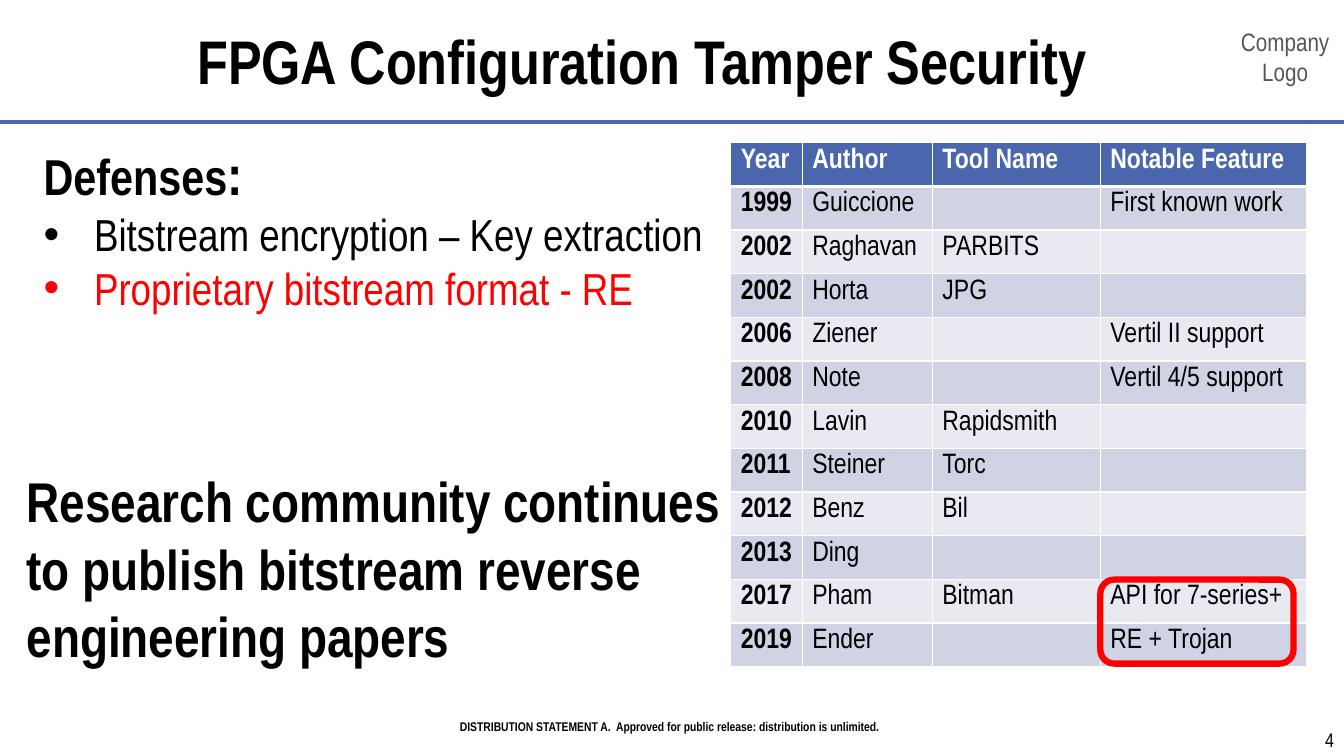
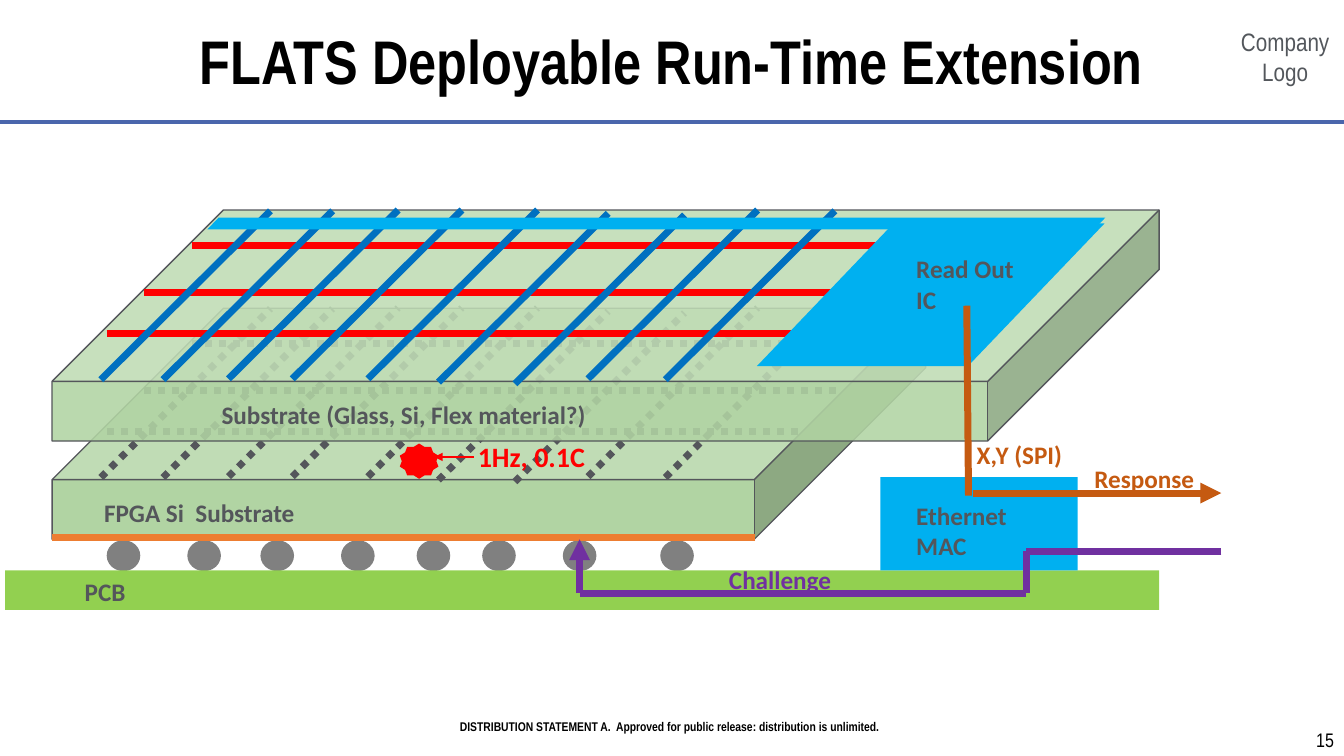
from lxml.etree import SubElement
from pptx import Presentation
from pptx.dml.color import RGBColor
from pptx.enum.dml import MSO_LINE
from pptx.enum.shapes import MSO_CONNECTOR, MSO_SHAPE
from pptx.enum.text import MSO_ANCHOR, MSO_AUTO_SIZE, PP_ALIGN
from pptx.oxml.ns import qn
from pptx.util import Pt

COLUMNS, ROWS, CELL = 160, 90, 76200

BLACK = RGBColor(0x00, 0x00, 0x00)
WHITE = RGBColor(0xFF, 0xFF, 0xFF)
RED = RGBColor(0xFF, 0x00, 0x00)
INDIGO = RGBColor(0x4A, 0x66, 0xAC)
BAND_DARK = RGBColor(0xD0, 0xD3, 0xE3)
BAND_LIGHT = RGBColor(0xE9, 0xEA, 0xF1)
LOGO_GRAY = RGBColor(0x53, 0x57, 0x5C)
SLATE = RGBColor(0x54, 0x56, 0x5B)
BALL_GRAY = RGBColor(0x80, 0x80, 0x80)
GLASS = RGBColor(0xB1, 0xD4, 0xA3)
BOARD_GREEN = RGBColor(0x92, 0xD0, 0x50)
SKY = RGBColor(0x00, 0xB0, 0xF0)
BLUE = RGBColor(0x00, 0x70, 0xC0)
ORANGE = RGBColor(0xED, 0x7D, 0x31)
RUST = RGBColor(0xC5, 0x5A, 0x11)
PURPLE = RGBColor(0x70, 0x30, 0xA0)


def write(holder, text, box=None, size=18, color=BLACK, font="Arial Narrow",
          bold=False, align=PP_ALIGN.LEFT, anchor=MSO_ANCHOR.TOP, wrap=True):
    if box:
        holder.left, holder.top, holder.width, holder.height = [round(n * CELL) for n in box]
    frame = holder.text_frame
    frame.text = text
    frame.word_wrap = wrap
    frame.auto_size = MSO_AUTO_SIZE.NONE
    frame.vertical_anchor = anchor
    for paragraph in frame.paragraphs:
        paragraph.alignment = align
        paragraph.space_before = Pt(0)
        for run in paragraph.runs:
            run.font.name, run.font.size, run.font.bold = font, Pt(size), bold
            run.font.color.rgb = color


def draw_line(slide, start, end, color, width=5, dash=None, arrow=False):
    ends = [round(n * CELL) for n in (*start, *end)]
    line = slide.shapes.add_connector(MSO_CONNECTOR.STRAIGHT, *ends)
    line.line.color.rgb = color
    line.line.width = Pt(width)
    if dash:
        line.line.dash_style = dash
    if arrow:
        SubElement(line.line._get_or_add_ln(), qn("a:tailEnd"), type="triangle")
    SubElement(line.element.spPr, qn("a:effectLst"))
    return line


prs = Presentation()
prs.slide_width, prs.slide_height = COLUMNS * CELL, ROWS * CELL
history = prs.slides.add_slide(prs.slide_layouts[1])
extension = prs.slides.add_slide(prs.slide_layouts[5])

statement = history.shapes.add_textbox(0, 0, 0, 0)
write(statement, "DISTRIBUTION STATEMENT A.  Approved for public release: distribution is unlimited.",
      (29.3, 85, 100.8, 3), size=9, bold=True, align=PP_ALIGN.CENTER)
company = history.shapes.add_textbox(0, 0, 0, 0)
write(company, "Company\nLogo", (146, 2.5, 14, 8.5), color=LOGO_GRAY, align=PP_ALIGN.CENTER)
rule = draw_line(history, (0, 14.5), (COLUMNS, 14.5), INDIGO, width=3)
for number, shared in enumerate((statement, company, rule), 20):
    shared.element.xpath(".//p:cNvPr")[0].set("id", str(number))
    prs.slide_master.shapes.element.append(shared.element)

for slide, heading, heading_width, page in (
    (history, "FPGA Configuration Tamper Security", 125, "4"),
    (extension, "FLATS Deployable Run-Time Extension", 132, "15"),
):
    write(slide.shapes.title, heading, (14, 0, heading_width, 14.2), size=44, bold=True,
          align=PP_ALIGN.CENTER, anchor=MSO_ANCHOR.MIDDLE)
    write(slide.shapes.add_textbox(0, 0, 0, 0), page, (128, 86, 32, 4), size=14,
          align=PP_ALIGN.RIGHT, anchor=MSO_ANCHOR.MIDDLE)

defenses = history.placeholders[1]
write(defenses, "Defenses\nBitstream encryption – Key extraction\nProprietary bitstream format - RE",
      (4, 16, 85, 22.2), size=32)
lead, *measures = defenses.text_frame.paragraphs
lead.add_run().text = ":"
for run, size in zip(lead.runs, (36, 40)):
    run.font.name, run.font.size, run.font.bold = "Arial Narrow", Pt(size), True
    run.font.color.rgb = BLACK
lead_properties = lead._p.get_or_add_pPr()
lead_properties.set("marL", "0")
lead_properties.set("indent", "0")
SubElement(lead_properties, qn("a:buNone"))
for measure in measures:
    properties = measure._p.get_or_add_pPr()
    properties.set("marL", str(6 * CELL))
    properties.set("indent", str(-6 * CELL))
    SubElement(properties, qn("a:buFont"), typeface="Arial")
    SubElement(properties, qn("a:buChar"), char="•")
measures[-1].runs[0].font.color.rgb = RED

tools = (
    ("Year", "Author", "Tool Name", "Notable Feature"),
    ("1999", "Guiccione", "", "First known work"),
    ("2002", "Raghavan", "PARBITS", ""),
    ("2002", "Horta", "JPG", ""),
    ("2006", "Ziener", "", "Vertil II support"),
    ("2008", "Note", "", "Vertil 4/5 support"),
    ("2010", "Lavin", "Rapidsmith", ""),
    ("2011", "Steiner", "Torc", ""),
    ("2012", "Benz", "Bil", ""),
    ("2013", "Ding", "", ""),
    ("2017", "Pham", "Bitman", "API for 7-series+"),
    ("2019", "Ender", "", "RE + Trojan"),
)
tool_widths = (8.5, 15.5, 20, 24.5)
timeline = history.shapes.add_table(
    len(tools), len(tool_widths), 87 * CELL, 17 * CELL,
    round(sum(tool_widths) * CELL), round(62.4 * CELL)).table
for column, width in zip(timeline.columns, tool_widths):
    column.width = round(width * CELL)
for row, entries in enumerate(tools):
    for column, entry in enumerate(entries):
        cell = timeline.cell(row, column)
        write(cell, entry, size=20, color=BLACK if row else WHITE, bold=row == 0 or column == 0)
        for side in ("lnL", "lnR", "lnT", "lnB"):
            thick = (row, side) in ((0, "lnB"), (1, "lnT"))
            border = SubElement(cell._tc.get_or_add_tcPr(), qn(f"a:{side}"), w=str(Pt(3 if thick else 1)))
            SubElement(SubElement(border, qn("a:solidFill")), qn("a:srgbClr"), val=str(WHITE))
        cell.fill.solid()
        cell.fill.fore_color.rgb = (BAND_DARK if row % 2 else BAND_LIGHT) if row else INDIGO

write(history.shapes.add_textbox(0, 0, 0, 0),
      "Research community continues to publish bitstream reverse engineering papers",
      (2, 55, 87, 25.4), size=40, bold=True)
highlight = history.shapes.add_shape(
    MSO_SHAPE.ROUNDED_RECTANGLE, 131 * CELL, 69 * CELL, 23 * CELL, 10 * CELL)
highlight.shadow.inherit = False
highlight.fill.background()
highlight.line.color.rgb = RED
highlight.line.width = Pt(4.5)

ball_lefts = (12.7, 22.3, 31, 40.6, 49.6, 57.4, 67, 78.6)
trace_rows = ((22.8, 29.2), (17.2, 34.8), (12.7, 39.7))
trace_columns = ((12, 45.2), (19.4, 45.2), (27.2, 45.1), (34.8, 45.1), (43.8, 45.1),
                 (52.2, 45.5), (61.3, 45.7), (70, 45.1), (79.2, 45.2))
lower_layer = (
    [(MSO_SHAPE.CUBE, (6.2, 36.7, 104, 27.5), GLASS, 0.742)]
    + [(MSO_SHAPE.OVAL, (left, 64.3, 4, 3.7), BALL_GRAY, None) for left in ball_lefts],
    11.65, SLATE, SLATE, MSO_LINE.ROUND_DOT)
upper_layer = (
    [(MSO_SHAPE.CUBE, (6.2, 25, 131.8, 27.5), GLASS, 0.742)],
    0, RED, BLUE, None)
circuit_layer = (
    [(MSO_SHAPE.PARALLELOGRAM, (90.1, 26.6, 41.4, 17), SKY, 0.957),
     (MSO_SHAPE.PARALLELOGRAM, (24.7, 25.9, 106.9, 1.4), SKY, 0.957),
     (MSO_SHAPE.RECTANGLE, (0.6, 67.9, 137.4, 4.7), BOARD_GREEN, None),
     (MSO_SHAPE.STAR_10_POINT, (47.6, 52.8, 4.6, 4.2), RED, None),
     (MSO_SHAPE.RECTANGLE, (104.8, 56.8, 23.5, 11.1), SKY, None)],
    None, None, None, None)
for parts, drop, row_color, column_color, dash in (lower_layer, upper_layer, circuit_layer):
    for kind, box, color, adjustment in parts:
        part = extension.shapes.add_shape(kind, *[round(n * CELL) for n in box])
        part.shadow.inherit = False
        part.fill.solid()
        part.fill.fore_color.rgb = color
        part.line.fill.background()
        if adjustment:
            part.adjustments[0] = adjustment
        if kind == MSO_SHAPE.CUBE:
            part.line.color.rgb = SLATE
            part.line.width = Pt(1)
            if drop == 0:
                tint = part.element.spPr.find(qn("a:solidFill"))[0]
                SubElement(tint, qn("a:alpha"), val="88000")
    if drop is None:
        continue
    for left, top in trace_rows:
        draw_line(extension, (left, top + drop), (left + 82.7, top + drop), row_color, dash=dash)
    if drop:
        draw_line(extension, (89.9, 64), (6.2, 64), ORANGE)
    for left, bottom in trace_columns:
        draw_line(extension, (left, bottom + drop), (left + 20.2, bottom + drop - 20.1),
                  column_color, dash=dash)

for start, end, color, width, arrow in (
    ((56.4, 54.4), (51.7, 54.4), RED, 2, True),
    ((145.4, 65.6), (122.2, 65.6), PURPLE, 5, False),
    ((122.2, 70.6), (122.2, 65.6), PURPLE, 5, False),
    ((122.2, 70.7), (69.1, 70.7), PURPLE, 5, False),
    ((69, 70.6), (69, 64.2), PURPLE, 5, True),
    ((115.1, 36.4), (115.3, 59), RUST, 5, False),
    ((115.8, 58.7), (145.4, 58.7), RUST, 5, True),
):
    draw_line(extension, start, end, color, width=width, arrow=arrow)

for label, box, color, size, wrap in (
    ("FPGA Si  Substrate", (11.2, 58.6, 30.4, 4.8), SLATE, 18, True),
    ("Substrate (Glass, Si, Flex material?)", (25.2, 46.9, 57.5, 4.8), SLATE, 18, True),
    ("Read Out IC", (107.9, 29.6, 14.9, 8.5), SLATE, 18, True),
    ("PCB", (8.9, 68, 13, 4.8), SLATE, 18, True),
    ("1Hz, 0.1C", (55.7, 51.7, 38.9, 5.3), RED, 20, True),
    ("Ethernet MAC", (107.9, 59, 14.9, 8.5), SLATE, 18, True),
    ("X,Y (SPI)", (115.1, 51.7, 12.7, 4.8), RUST, 18, False),
    ("Challenge", (85.6, 66.6, 14.6, 4.8), PURPLE, 18, False),
    ("Response", (129.1, 54.6, 14.4, 4.8), RUST, 18, False),
):
    write(extension.shapes.add_textbox(0, 0, 0, 0), label, box, size=size, color=color,
          font="Calibri", bold=True, wrap=wrap)

prs.save("out.pptx")
